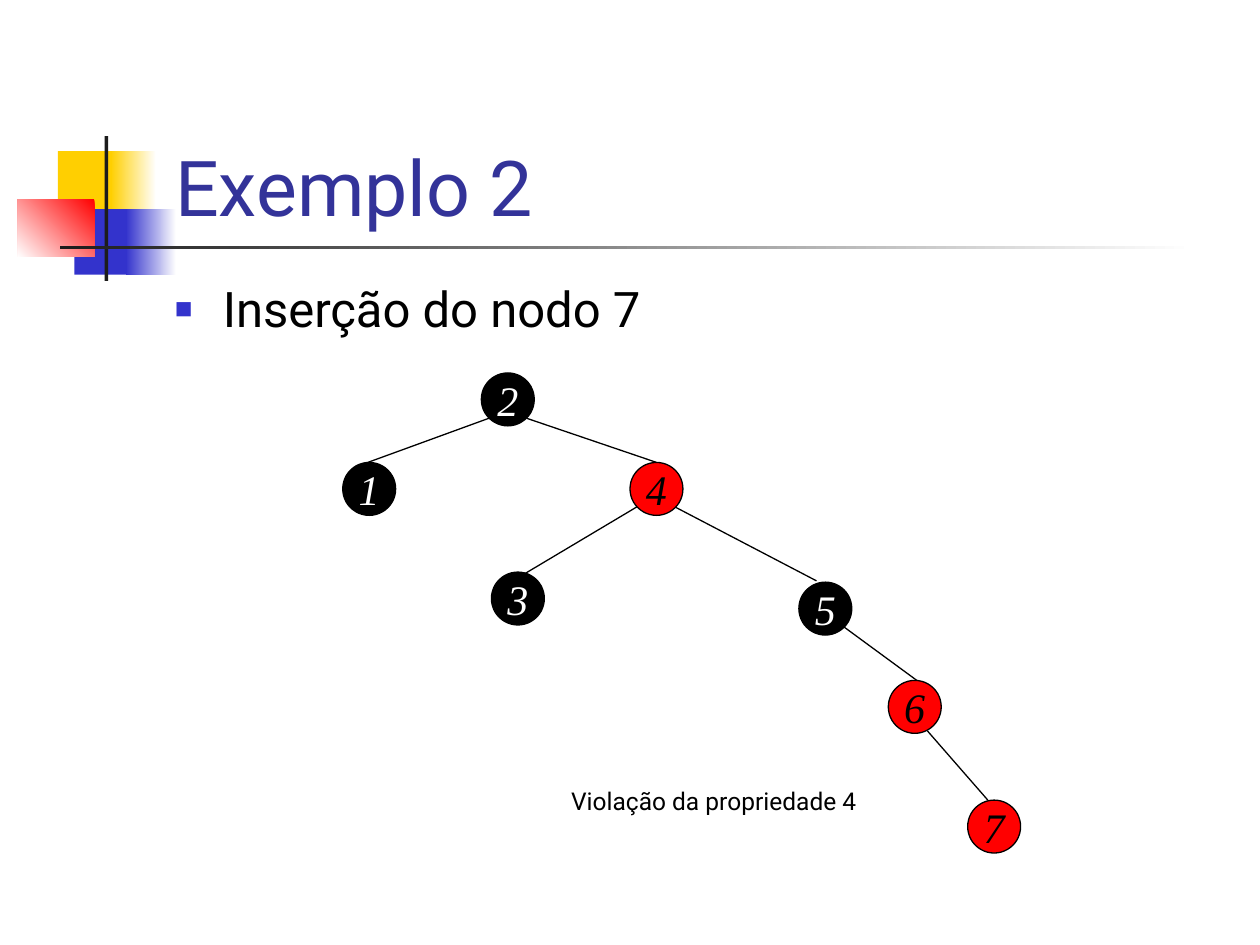
import pptx
import pptx.util
import pptx.dml.color
import pptx.enum.shapes
import pptx.enum.text
import lxml.etree
from pptx.oxml.ns import qn

SHAPE = pptx.enum.shapes.MSO_SHAPE
ALIGN = pptx.enum.text.PP_ALIGN
ANCHOR = pptx.enum.text.MSO_ANCHOR
FIT = pptx.enum.text.MSO_AUTO_SIZE


class Theme:
    black, white, red = "000000", "FFFFFF", "FF0000"
    gold, blue, dark, title = "FFCF01", "3333CC", "1C1C1C", "333399"
    sans, serif = "Roboto", "Times New Roman"
    head, body, node, note = 44, 28, 24, 14
    line = 0.75


def px(n):
    """Length in EMU, at 100 px to the inch."""
    return pptx.util.Emu(n * 9144)


def rgb(code):
    return pptx.dml.color.RGBColor.from_string(code)


def put(obj, **vals):
    for name, val in vals.items():
        setattr(obj, name, val)


def write(shape, text, size, color, font=Theme.sans, italic=None,
          align=ALIGN.LEFT, pad=(10, 5, 10, 5), **frame):
    """Fill the shape with one paragraph and return that paragraph."""
    tf = shape.text_frame
    sides = ("margin_left", "margin_top", "margin_right", "margin_bottom")
    put(tf, **dict(zip(sides, map(px, pad))), **frame)
    par = tf.paragraphs[0]
    par.alignment = align
    run = par.add_run()
    run.text = text
    put(run.font, size=pptx.util.Pt(size), name=font, italic=italic)
    run.font.color.rgb = rgb(color)
    return par


def block(slide, box, fill, angle=None):
    """Rectangle with a plain fill, or a (start, end) gradient at an angle."""
    rect = slide.shapes.add_shape(SHAPE.RECTANGLE, *map(px, box))
    rect.shadow.inherit = False
    rect.line.fill.background()
    if angle is None:
        rect.fill.solid()
        rect.fill.fore_color.rgb = rgb(fill)
        return
    rect.fill.gradient()
    rect.fill.gradient_angle = angle
    for stop, code, pos in zip(rect.fill.gradient_stops, fill, (0, 1)):
        stop.color.rgb = rgb(code)
        stop.position = pos


def motif(slide, left, top):
    t = Theme
    parts = [
        ((32, 12, 48, 52), t.gold, None),
        ((74, 12, 36, 52), (t.white, t.gold), 180),
        ((45, 58, 46, 52), t.blue, None),
        ((86, 58, 40, 52), (t.white, t.blue), 180),
        ((0, 50, 61, 46), (t.red, t.white), 225),
        ((69, 0, 3, 115), t.dark, None),
        ((34, 87, 900, 3), (t.white, t.dark), 180),
    ]
    for (x, y, w, h), fill, angle in parts:
        block(slide, (left + x, top + y, w, h), fill, angle)


def title(slide, box, text):
    head = slide.shapes.title
    put(head, **dict(zip(("left", "top", "width", "height"), map(px, box))))
    write(head, text, Theme.head, Theme.title, pad=(13, 0, 0, 4),
          vertical_anchor=ANCHOR.BOTTOM, auto_size=FIT.NONE, word_wrap=True)


def bullet(slide, box, text):
    area = slide.shapes.add_textbox(*map(px, box))
    par = write(area, text, Theme.body, Theme.black, word_wrap=True)
    put(par, line_spacing=0.9, space_before=pptx.util.Pt(7))
    props = par._p.get_or_add_pPr()
    props.set("marL", str(px(38)))
    props.set("indent", str(px(-38)))
    color = lxml.etree.SubElement(props, qn("a:buClr"))
    lxml.etree.SubElement(color, qn("a:srgbClr"), val=Theme.blue)
    lxml.etree.SubElement(props, qn("a:buSzPct"), val="60000")
    lxml.etree.SubElement(props, qn("a:buFont"), typeface="Arial")
    lxml.etree.SubElement(props, qn("a:buChar"), char="■")


def note(slide, box, text):
    area = slide.shapes.add_textbox(*map(px, box))
    write(area, text, Theme.note, Theme.black, align=ALIGN.CENTER,
          word_wrap=False, auto_size=FIT.SHAPE_TO_FIT_TEXT)


def edge(slide, x1, y1, x2, y2):
    line = slide.shapes.add_connector(
        pptx.enum.shapes.MSO_CONNECTOR.STRAIGHT, *map(px, (x1, y1, x2, y2)))
    line.line.color.rgb = rgb(Theme.black)
    line.line.width = pptx.util.Pt(Theme.line)
    lxml.etree.SubElement(line._element.spPr, qn("a:effectLst"))


def node(slide, x, y, key, fill, ink, size=42):
    """Round tree node centred on x, y."""
    half = size // 2
    dot = slide.shapes.add_shape(
        SHAPE.OVAL, *map(px, (x - half, y - half, size, size)))
    dot.shadow.inherit = False
    dot.fill.solid()
    dot.fill.fore_color.rgb = rgb(fill)
    dot.line.color.rgb = rgb(Theme.black)
    dot.line.width = pptx.util.Pt(Theme.line)
    write(dot, key, Theme.node, ink, Theme.serif, True, ALIGN.CENTER,
          vertical_anchor=ANCHOR.MIDDLE, word_wrap=False)


def tree(slide, left, top):
    dark, red = (Theme.black, Theme.white), (Theme.red, Theme.black)
    nodes = {
        "2": (131, 21, dark), "1": (21, 92, dark), "4": (249, 92, red),
        "3": (139, 179, dark), "5": (383, 187, dark),
        "6": (454, 265, red), "7": (517, 360, red),
    }
    # parent, child, then the offset of each end from its node's centre
    edges = [
        ("2", "1", (-15, 15), (-1, -21)), ("2", "4", (15, 15), (0, -21)),
        ("4", "3", (-15, 14), (-4, -14)), ("4", "5", (14, 14), (-7, -22)),
        ("5", "6", (14, 14), (3, -20)), ("6", "7", (10, 19), (-5, -21)),
    ]
    for up, down, (dx, dy), (ex, ey) in edges:
        (x1, y1, _), (x2, y2, _) = nodes[up], nodes[down]
        edge(slide, left + x1 + dx, top + y1 + dy,
             left + x2 + ex, top + y2 + ey)
    for key, (x, y, tone) in nodes.items():
        node(slide, left + x, top + y, key, *tone)


def main():
    deck = pptx.Presentation()
    put(deck, slide_width=px(1000), slide_height=px(750))
    slide = deck.slides.add_slide(deck.slide_layouts[5])
    motif(slide, 14, 108)
    title(slide, (126, 28, 852, 160), "Exemplo 2")
    bullet(slide, (129, 221, 850, 58), "Inserção do nodo 7")
    note(slide, (437, 619, 259, 34), "Violação da propriedade 4")
    tree(slide, 272, 296)
    deck.save("out.pptx")


if __name__ == "__main__":
    main()
